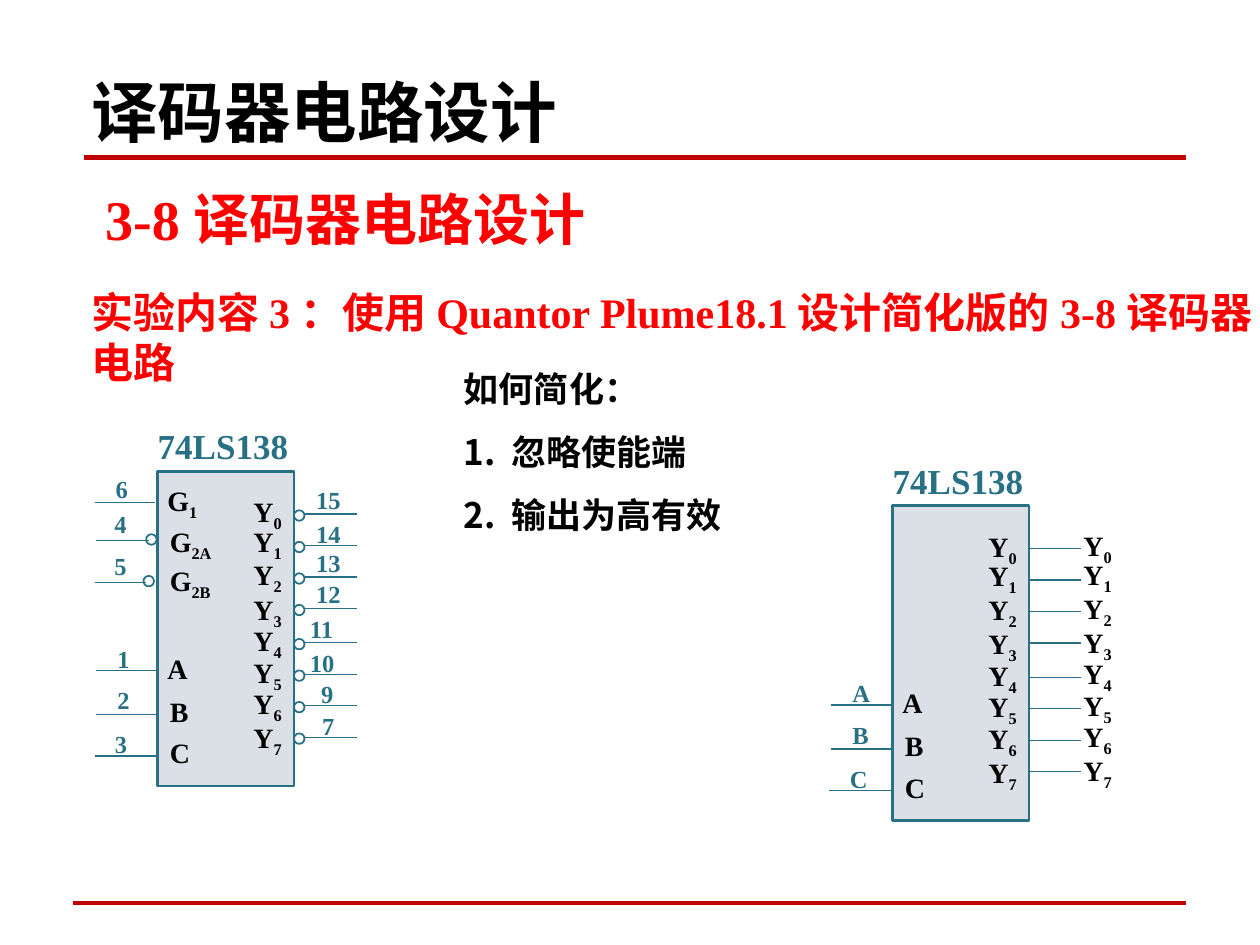
from lxml import etree
from pptx import Presentation
from pptx.dml.color import RGBColor
from pptx.enum.shapes import MSO_CONNECTOR, MSO_SHAPE
from pptx.enum.text import MSO_ANCHOR
from pptx.oxml.ns import qn
from pptx.util import Pt

STRAIGHT = MSO_CONNECTOR.STRAIGHT
RECTANGLE, OVAL = MSO_SHAPE.RECTANGLE, MSO_SHAPE.OVAL
TOP, BOTTOM = MSO_ANCHOR.TOP, MSO_ANCHOR.BOTTOM

COLORS = {"rule": "C00000", "heading": "FF0000", "text": "000000",
          "teal": "287184", "chip": "DAE0E6"}
SERIF, TITLE_FONT = "Times New Roman", "TeX Gyre Schola"

# Chip geometry; every pin position is measured from the chip's top left corner
CHIP_WIDTH, CHIP_HEIGHT = 78, 180
BUBBLE = 6
PIN_LENGTH = 30
OUTPUT_LINES = [24.5 + 18 * i + (1.5 if i > 3 else 0) for i in range(8)]
OUTPUT_NAMES = [10, 26.6, 46, 65.5, 83.5, 101.5, 119.5, 139]

# Pin number, left, top
OUTPUT_NUMBERS = [("15", 83.5, 4.3), ("14", 83.5, 23.8), ("13", 83.5, 40.3),
                  ("12", 83.5, 58.3), ("11", 80, 77.8), ("10", 80, 97.2),
                  ("9", 86.4, 115.2), ("7", 87, 133.2)]
# Name, name left, name top, line start, line y, label left, label top
SELECTS = [("A", -1.4, 99.4, -35, 113.8, -30, 95),
           ("B", 0, 123.8, -35, 139, -30, 118.8),
           ("C", 0, 147.6, -36, 162.7, -31.5, 144)]
# Subscript, name left, name top, line start, line end, line y, number, label left, label top
ENABLES = [("1", -1.4, 3.6, -36, -1.4, 18, "6", -31, -2.2),
           ("2A", 0, 26.6, -35.3, -5, 39.6, "4", -31.7, 18),
           ("2B", 0, 49, -36, -6.5, 63.4, "5", -31.7, 41.8)]


def rgb(name):
    return RGBColor.from_string(COLORS[name])


def add_line(shapes, x1, y1, x2, y2, color="teal", width=0.75):
    line = shapes.add_connector(STRAIGHT, Pt(x1), Pt(y1), Pt(x2), Pt(y2))
    line.line.color.rgb = rgb(color)
    line.line.width = Pt(width)
    etree.SubElement(line._element.spPr, qn("a:effectLst"))


def add_outline(shapes, kind, left, top, width, height, line_width, fill=None):
    shape = shapes.add_shape(kind, Pt(left), Pt(top), Pt(width), Pt(height))
    shape.shadow.inherit = False
    if fill:
        shape.fill.solid()
        shape.fill.fore_color.rgb = rgb(fill)
    else:
        shape.fill.background()
    shape.line.color.rgb = rgb("teal")
    shape.line.width = Pt(line_width)


def add_run(paragraph, text, size, color, font=SERIF, subscript=False):
    run = paragraph.add_run()
    run.text = text
    run.font.size = Pt(size)
    run.font.bold = True
    run.font.name = font
    run.font.color.rgb = rgb(color)
    if subscript:
        run._r.get_or_add_rPr().set("baseline", "-25000")


def add_text(shapes, left, top, width, height, text, size, color="text",
             subscript="", font=SERIF, anchor=TOP):
    box = shapes.add_textbox(Pt(left), Pt(top), Pt(width), Pt(height))
    frame = box.text_frame
    frame.word_wrap = True
    frame.vertical_anchor = anchor
    add_run(frame.paragraphs[0], text, size, color, font)
    if subscript:
        add_run(frame.paragraphs[0], subscript, size, color, font, subscript=True)
    return frame


def add_name(shapes, left, top, text, subscript=""):
    add_text(shapes, left, top, 48, 26.5, text, 16, subscript=subscript)


def add_label(shapes, left, top, text):
    add_text(shapes, left, top, 37.5, 23.8, text, 14, "teal")


def add_numbered(frame, text):
    paragraph = frame.add_paragraph()
    paragraph.line_spacing = 1.5
    properties = paragraph._p.get_or_add_pPr()
    properties.set("marL", str(Pt(27)))
    properties.set("indent", str(-Pt(27)))
    etree.SubElement(properties, qn("a:buFont")).set("typeface", "+mj-lt")
    etree.SubElement(properties, qn("a:buAutoNum")).set("type", "arabicPeriod")
    add_run(paragraph, text, 20, "text")


def add_chip(slide, x, y, select_labels):
    """Draw the parts both decoders share and return the group's shapes."""
    shapes = slide.shapes.add_group_shape().shapes
    add_outline(shapes, RECTANGLE, x, y, CHIP_WIDTH, CHIP_HEIGHT, 1.5, "chip")
    add_text(shapes, x - 7, y - 30, 90, 31, "74LS138", 20, "teal")
    for label, select in zip(select_labels, SELECTS):
        name, name_x, name_y, start, line_y, label_x, label_y = select
        add_line(shapes, x + start, y + line_y, x, y + line_y)
        add_name(shapes, x + name_x, y + name_y, name)
        add_label(shapes, x + label_x, y + label_y, label)
    for i, name_y in enumerate(OUTPUT_NAMES):
        add_name(shapes, x + 47.7, y + name_y, "Y", str(i))
    return shapes


def add_full_decoder(slide, x, y):
    shapes = add_chip(slide, x, y, "123")
    # Enable inputs, the last two active low
    for subscript, name_x, name_y, start, end, line_y, number, label_x, label_y in ENABLES:
        add_line(shapes, x + start, y + line_y, x + end, y + line_y)
        if subscript != "1":
            add_outline(shapes, OVAL, x + end - 1.5, y + line_y - 3.6, BUBBLE, BUBBLE, 1)
        add_name(shapes, x + name_x, y + name_y, "G", subscript)
        add_label(shapes, x + label_x, y + label_y, number)
    # Active-low outputs
    pin_x = x + CHIP_WIDTH + BUBBLE
    for line_y, (number, label_x, label_y) in zip(OUTPUT_LINES, OUTPUT_NUMBERS):
        add_outline(shapes, OVAL, x + CHIP_WIDTH, y + line_y - 2.2, BUBBLE, BUBBLE, 1)
        add_line(shapes, pin_x, y + line_y, pin_x + PIN_LENGTH, y + line_y)
        add_label(shapes, x + label_x, y + label_y, number)


def add_simple_decoder(slide, x, y):
    shapes = add_chip(slide, x, y, "ABC")
    # Active-high outputs
    pin_x = x + CHIP_WIDTH
    for i, (line_y, name_y) in enumerate(zip(OUTPUT_LINES, OUTPUT_NAMES)):
        add_line(shapes, pin_x, y + line_y, pin_x + PIN_LENGTH, y + line_y)
        add_name(shapes, x + 102, y + name_y - 0.7, "Y", str(i))


def main():
    presentation = Presentation()
    presentation.slide_width, presentation.slide_height = Pt(720), Pt(540)
    slide = presentation.slides.add_slide(presentation.slide_layouts[6])
    shapes = slide.shapes

    # Rules and headings
    add_line(shapes, 48, 90, 678, 90, "rule", 3)
    add_line(shapes, 42, 516, 678, 516, "rule", 2.25)
    add_text(shapes, 45, 24, 630, 65.5, "译码器电路设计", 38,
             font=TITLE_FONT, anchor=BOTTOM)
    add_text(shapes, 45, 102, 315, 46, " 3-8译码器电路设计", 32, "heading")
    add_text(shapes, 45, 160, 693, 36,
             "实验内容3：使用Quantor Plume18.1设计简化版的3-8译码器电路", 24, "heading")

    # How to simplify
    frame = add_text(shapes, 258, 194.5, 432, 112, "如何简化：", 20)
    frame.paragraphs[0].line_spacing = 1.5
    for step in ("忽略使能端", "输出为高有效"):
        add_numbered(frame, step)

    # Decoders before and after
    add_full_decoder(slide, 90, 269.3)
    add_simple_decoder(slide, 510, 289)

    presentation.save("out.pptx")


if __name__ == "__main__":
    main()
